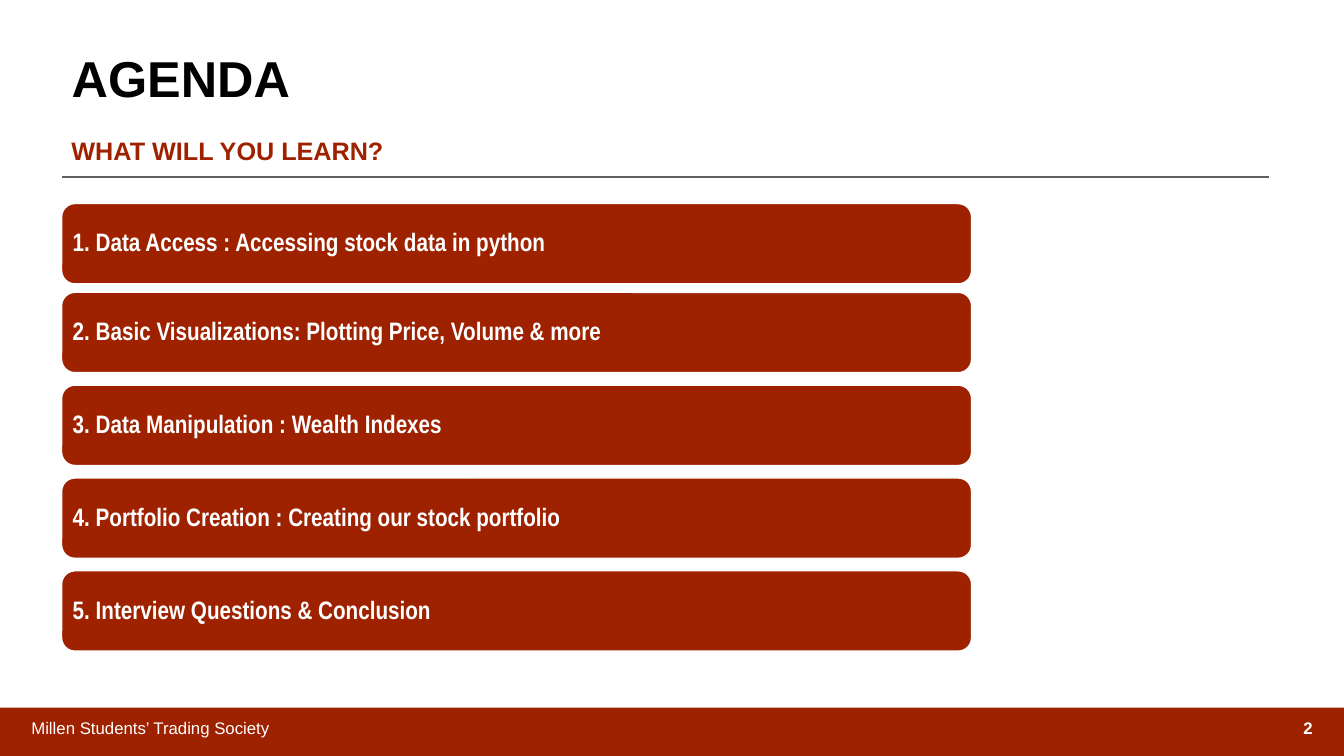
import pptx
import pptx.dml.color
import pptx.enum.shapes
import pptx.enum.text
import pptx.oxml.ns
import pptx.util
from lxml import etree

Pt = pptx.util.Pt
ALIGN = pptx.enum.text.PP_ALIGN
ANCHOR = pptx.enum.text.MSO_ANCHOR
SHAPE = pptx.enum.shapes.MSO_SHAPE
COLORS = {"red": "9E2200", "white": "FFFFFF", "black": "000000", "rule": "5F5F5F"}
LEFT = 44


def rgb(name):
    return pptx.dml.color.RGBColor.from_string(COLORS[name])


def write(shape, text, size, color, bold=True, font="Arial", align=ALIGN.LEFT, anchor=ANCHOR.MIDDLE):
    frame = shape.text_frame
    frame.word_wrap = True
    frame.auto_size = pptx.enum.text.MSO_AUTO_SIZE.NONE
    frame.vertical_anchor = anchor
    paragraph = frame.paragraphs[0]
    paragraph.alignment = align
    run = paragraph.add_run()
    run.text = text
    run.font.size = Pt(size)
    run.font.name = font
    run.font.bold = bold
    run.font.color.rgb = rgb(color)


prs = pptx.Presentation()
prs.slide_width, prs.slide_height = Pt(960), Pt(540)
slide = prs.slides.add_slide(prs.slide_layouts[5])
shapes = slide.shapes

# Footer band with society name and page number
footer = shapes.add_shape(SHAPE.RECTANGLE, Pt(0), Pt(505.5), Pt(960), Pt(34.5))
footer.shadow.inherit = False
footer.fill.solid()
footer.fill.fore_color.rgb = rgb("red")
footer.line.fill.background()
society = shapes.add_textbox(Pt(15.3), Pt(505.5), Pt(324), Pt(29))
write(society, "Millen Students’ Trading Society", 12, "white", bold=False)
page_number = shapes.add_textbox(Pt(728.7), Pt(505.5), Pt(216), Pt(29))
write(page_number, "2", 12, "white", align=ALIGN.RIGHT)

# Title, subtitle and rule
title = shapes.title
title.left, title.top, title.width, title.height = Pt(LEFT), Pt(30.2), Pt(295), Pt(51)
write(title, "AGENDA", 36, "black", anchor=ANCHOR.TOP)
subtitle = shapes.add_textbox(Pt(LEFT), Pt(93), Pt(803), Pt(29))
write(subtitle, "WHAT WILL YOU LEARN?", 18, "red", anchor=ANCHOR.TOP)
rule = shapes.add_connector(pptx.enum.shapes.MSO_CONNECTOR.STRAIGHT, Pt(LEFT), Pt(126.5), Pt(906.5), Pt(126.5))
rule.line.color.rgb = rgb("rule")
rule.line.width = Pt(1.5)
etree.SubElement(rule.element.spPr, pptx.oxml.ns.qn("a:effectLst"))

# Agenda bars: the first sits slightly closer to the second
agenda = [
    (145.4, "1. Data Access : Accessing stock data in python"),
    (208.8, "2. Basic Visualizations: Plotting Price, Volume & more"),
    (275.1, "3. Data Manipulation : Wealth Indexes"),
    (341.4, "4. Portfolio Creation : Creating our stock portfolio"),
    (407.7, "5. Interview Questions & Conclusion"),
]
for top, topic in agenda:
    bar = shapes.add_shape(SHAPE.ROUNDED_RECTANGLE, Pt(LEFT), Pt(top), Pt(650), Pt(57.4))
    bar.shadow.inherit = False
    bar.fill.solid()
    bar.fill.fore_color.rgb = rgb("red")
    bar.line.color.rgb = rgb("white")
    bar.line.width = Pt(1)
    write(bar, topic, 18, "white", font="Arial Narrow")
    bar.text_frame.margin_left = Pt(5.2)
    bar.text_frame.paragraphs[0].line_spacing = 0.9

prs.save("out.pptx")
